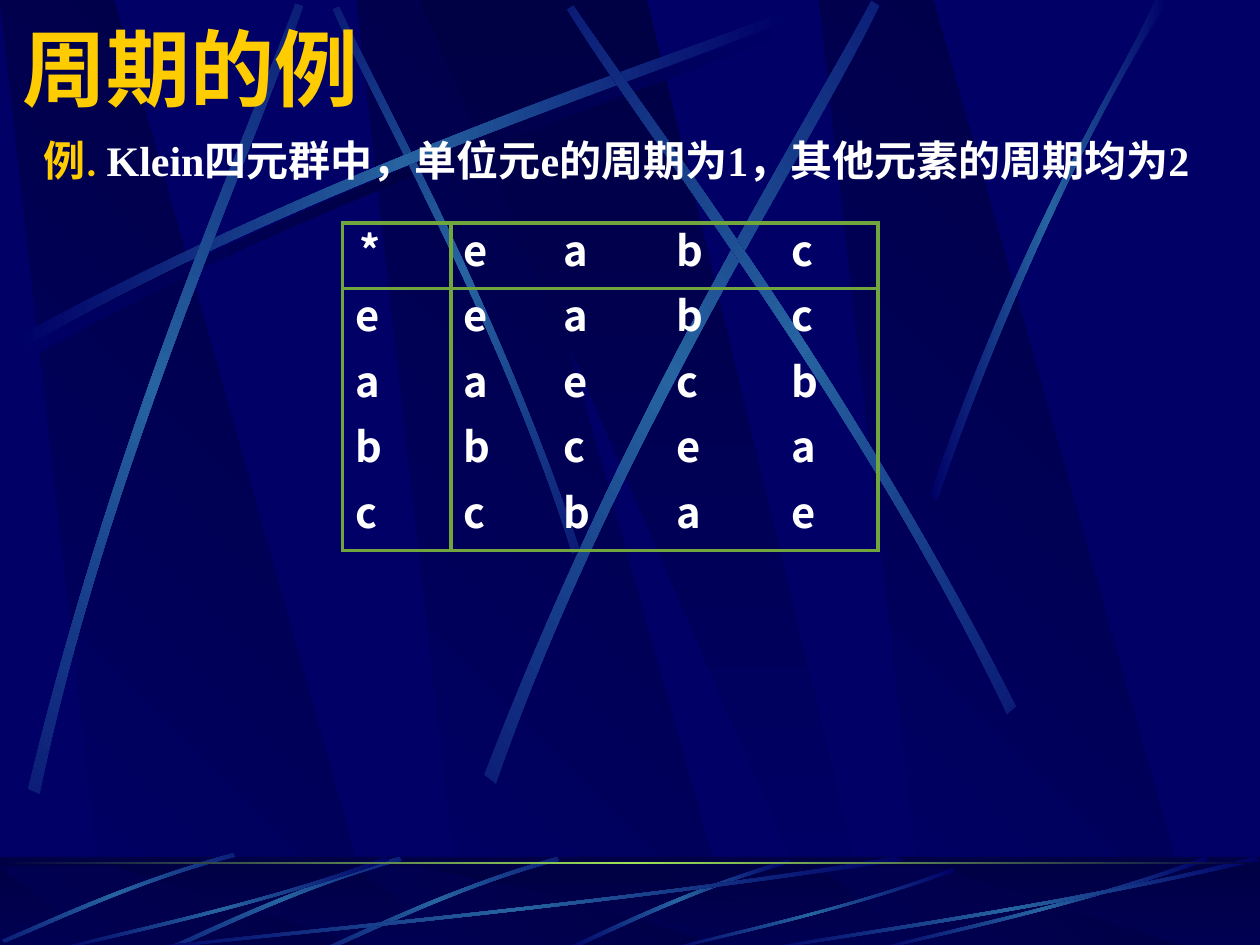
from dataclasses import dataclass
from math import cos, radians, sin

from pptx import Presentation
from pptx.dml.color import RGBColor
from pptx.enum.shapes import MSO_SHAPE
from pptx.enum.text import MSO_ANCHOR, MSO_AUTO_SIZE, PP_ALIGN
from pptx.oxml import parse_xml
from pptx.oxml.ns import nsdecls, qn
from pptx.util import Inches, Pt

RECTANGLE = MSO_SHAPE.RECTANGLE
MIDDLE, TOP = MSO_ANCHOR.MIDDLE, MSO_ANCHOR.TOP
NO_AUTOFIT = MSO_AUTO_SIZE.NONE
LEFT = PP_ALIGN.LEFT
WIDTH, HEIGHT = 10, 7.5
INCH_BOX = (0, 0, 1, 1)
UNITS_PER_INCH = 1000
NO_STYLE_NO_GRID = "{2D5ABB26-0587-4C30-8999-92F81FD0307C}"


@dataclass(frozen=True)
class Theme:
    navy: str = "000066"
    dark: str = "000044"
    beam: str = "2663A0"
    glow: str = "9CE157"
    grid: str = "71A53E"
    gold: str = "FFCC00"
    white: str = "FFFFFF"
    serif: str = "Times New Roman"
    sans: str = "Calibri"
    chinese: str = "Noto Sans CJK SC"
    title_size: float = 48
    body_size: float = 24
    table_size: float = 23.8
    grid_width: float = 2.25


THEME = Theme()
BEAM_COLORS = (THEME.navy, THEME.beam, THEME.navy)

# Background outlines, in shares of the box they fill
PANEL = [(0.28, 1), (1, 1), (0.3, 0), (0, 0)]
WEDGE = [(0, 0), (0.9, 1), (1, 1), (0.5, 0)]

# Beams: two cubic edges each. The long ones are in inches.
RISING = [[(0.14, 2.67), (2.78, 1.25), (5.18, 0.51), (6.2, 0.1)],
          [(6.23, 0.16), (5.22, 0.61), (2.48, 1.43), (0.17, 2.77)]]
LONG_BEAMS = [
    (45, [[(4.6, 4.36), (3.91, 2.34), (3.02, 0.77), (2.69, 0.05)],
          [(2.64, 0.07), (2.95, 0.79), (3.98, 2.58), (4.54, 4.39)]]),
    (0, RISING),
    (311.7, [[(0.23, 6.25), (0.93, 3.34), (1.97, 1.05), (2.35, 0.02)],
             [(2.41, 0.04), (2.07, 1.08), (0.86, 3.68), (0.32, 6.29)]]),
    (321.6, [[(3.85, 6.14), (4.98, 3.2), (6.38, 1.02), (6.92, 0)],
             [(6.98, 0.04), (6.49, 1.08), (4.86, 3.55), (3.94, 6.21)]]),
    (34.8, [[(8.06, 5.6), (6.7, 2.93), (5.16, 0.95), (4.55, 0.04)],
            [(4.5, 0.07), (5.07, 1.01), (6.85, 3.25), (7.99, 5.66)]]),
    (0, [[(7.38, 3.93), (8.14, 1.73), (8.88, 0.66), (9.17, 0)],
         [(9.27, 0), (8.36, 1.45), (7.69, 3.22), (7.44, 3.97)]]),
]

# The floor beams are in shares of their boxes
STEEP = [[(0.99, 0), (0.53, 0.33), (0.16, 0.8), (0, 0.97)],
         [(0.01, 1), (0.17, 0.84), (0.58, 0.31), (1, 0.04)]]
FLAT = [[(1, 0.04), (0.57, 0.57), (0.17, 0.85), (0.01, 1)],
        [(0, 0.99), (0.16, 0.81), (0.62, 0.51), (0.99, 0)]]
FLOOR_BEAMS = [
    (0, STEEP, (4.48, 6.82, 1.8, 0.73)),
    (314.9, STEEP, (2.56, 6.8, 1.88, 0.75)),
    (314.9, STEEP, (1.31, 6.8, 1.88, 0.75)),
    (314.9, STEEP, (0.02, 6.77, 1.85, 0.71)),
    (0, FLAT, (1, 6.8, 6.17, 0.75)),
    (0, FLAT, (0.42, 6.8, 2.67, 0.75)),
    (0, FLAT, (5.27, 6.89, 2.31, 0.66)),
    (0, FLAT, (6.92, 6.8, 2.67, 0.75)),
    (0, FLAT, (6, 6.8, 4, 0.75)),
]


def paint(shape, *colors, angle=0, alpha=100):
    """Fill a shape with evenly spaced gradient stops and no line."""
    shape.shadow.inherit = False
    shape.line.fill.background()
    shape.fill.gradient()
    last = len(colors) - 1
    stops = "".join(
        f'<a:gs pos="{100000 * index // last}"><a:srgbClr val="{color}">'
        f'<a:alpha val="{alpha * 1000}"/></a:srgbClr></a:gs>'
        for index, color in enumerate(colors))
    properties = shape._element.spPr
    properties.replace(properties.find(qn("a:gradFill")), parse_xml(
        f'<a:gradFill {nsdecls("a")} rotWithShape="1"><a:gsLst>{stops}</a:gsLst>'
        f'<a:lin ang="{angle * 60000}" scaled="1"/></a:gradFill>'))


def add_band(slide, box, *colors, **fill):
    shape = slide.shapes.add_shape(RECTANGLE, *map(Inches, box))
    paint(shape, *colors, **fill)


def add_outline(slide, points, box, *colors, rotation=0, angle=0):
    """Draw a closed outline whose gradient turns with its rotation."""
    left, top, width, height = box
    points = [(left + x * width, top + y * height) for x, y in points]
    center_x, center_y = ((min(axis) + max(axis)) / 2 for axis in zip(*points))
    cosine, sine = cos(radians(rotation)), sin(radians(rotation))
    points = [((center_x + (x - center_x) * cosine + (y - center_y) * sine) * UNITS_PER_INCH,
               (center_y + (y - center_y) * cosine - (x - center_x) * sine) * UNITS_PER_INCH)
              for x, y in points]
    builder = slide.shapes.build_freeform(*points[0], scale=Inches(1) / UNITS_PER_INCH)
    builder.add_line_segments(points[1:], close=True)
    shape = builder.convert_to_shape()
    shape.rotation = rotation
    paint(shape, *colors, angle=angle)
    return shape


def add_beam(slide, edges, box, *colors, rotation=0):
    """Outline the control points, then turn each edge into a cubic curve."""
    shape = add_outline(slide, edges[0] + edges[1], box, *colors, rotation=rotation)
    lines = list(shape._element.iter(qn("a:lnTo")))
    for edge_lines in (lines[:3], lines[4:7]):
        curve = parse_xml(f'<a:cubicBezTo {nsdecls("a")}/>')
        edge_lines[0].addprevious(curve)
        for line in edge_lines:
            curve.append(line[0])
            line.getparent().remove(line)


def add_panels(slide, top, height):
    for left in (2.83, 0, 6.5):
        add_outline(slide, PANEL, (left, top, 3.02, height),
                    THEME.navy, THEME.dark, angle=315)
    add_outline(slide, WEDGE, (3.33, top, 3.61, height),
                THEME.dark, THEME.navy, angle=90)


def add_wall(slide):
    add_panels(slide, 0, HEIGHT)
    add_beam(slide, RISING, (0.06, 0.08, 1, 1), THEME.navy, THEME.dark, THEME.navy)
    for rotation, edges in LONG_BEAMS:
        add_beam(slide, edges, INCH_BOX, *BEAM_COLORS, rotation=rotation)


def add_floor(slide, top, height):
    add_band(slide, (0, top, WIDTH, height), THEME.dark, THEME.navy, angle=90)
    add_panels(slide, top + 0.08, height - 0.08)
    add_band(slide, (0, top, WIDTH, height), THEME.dark, THEME.dark, alpha=50)
    for rotation, edges, box in FLOOR_BEAMS:
        add_beam(slide, edges, box, *BEAM_COLORS, rotation=rotation)
    add_band(slide, (0, top + 0.04, WIDTH, 0.02), THEME.dark, THEME.glow, THEME.dark)


def add_run(paragraph, text, *, size, font, color=THEME.white):
    run = paragraph.add_run()
    run.text = text
    run.font.size, run.font.name, run.font.bold = Pt(size), font, True
    run.font.color.rgb = RGBColor.from_string(color)
    run.font._element.find(qn("a:latin")).addnext(
        parse_xml(f'<a:ea {nsdecls("a")} typeface="{THEME.chinese}"/>'))


def add_title(slide, text, box):
    title = slide.shapes.title
    title.left, title.top, title.width, title.height = map(Inches, box)
    frame = title.text_frame
    frame.vertical_anchor, frame.auto_size = MIDDLE, NO_AUTOFIT
    frame.paragraphs[0].alignment = LEFT
    add_run(frame.paragraphs[0], text, size=THEME.title_size,
            font=THEME.serif, color=THEME.gold)
    slide.shapes._spTree.append(title._element)  # in front of the background


def add_example(slide, label, text, box):
    frame = slide.shapes.add_textbox(*map(Inches, box)).text_frame
    frame.word_wrap = True
    paragraph = frame.paragraphs[0]
    paragraph.line_spacing = 1.1
    add_run(paragraph, label, size=THEME.body_size, font=THEME.sans, color=THEME.gold)
    add_run(paragraph, text, size=THEME.body_size, font=THEME.serif)


def set_borders(cell, sides):
    """Draw the sides marked true and clear the others."""
    solid = f'<a:solidFill><a:srgbClr val="{THEME.grid}"/></a:solidFill>'
    for position, (side, shown) in enumerate(sides.items()):
        cell._tc.tcPr.insert(position, parse_xml(
            f'<a:{side} {nsdecls("a")} w="{Pt(THEME.grid_width)}">'
            f'{solid if shown else "<a:noFill/>"}</a:{side}>'))


def add_group_table(slide, elements, left, top, column_widths, row_height):
    """Klein group: the product of elements i and j is element i xor j."""
    products = [[elements[i ^ j] for j in range(4)] for i in range(4)]
    rows = [["*", *elements]] + [[e, *row] for e, row in zip(elements, products)]
    graphic = slide.shapes.add_table(
        len(rows), len(column_widths), Inches(left), Inches(top),
        Inches(sum(column_widths)), Inches(row_height * len(rows)))
    table = graphic.table
    table.first_row = table.horz_banding = False
    table._tbl.tblPr.find(qn("a:tableStyleId")).text = NO_STYLE_NO_GRID
    for column, width in zip(table.columns, column_widths):
        column.width = Inches(width)
    last = len(rows) - 1
    for i, row in enumerate(rows):
        table.rows[i].height = Inches(row_height)
        for j, text in enumerate(row):
            cell = table.cell(i, j)
            cell.vertical_anchor = TOP
            cell.margin_left = Inches(0.13 if text == "*" else 0.1)
            cell.margin_top = cell.margin_bottom = 0
            cell.fill.background()
            paragraph = cell.text_frame.paragraphs[0]
            paragraph.line_spacing = 0.9
            add_run(paragraph, text, size=THEME.table_size, font=THEME.chinese)
            set_borders(cell, {"lnL": j <= 1, "lnR": j in (0, last),
                               "lnT": i <= 1, "lnB": i in (0, last)})


def main():
    presentation = Presentation()
    presentation.slide_width, presentation.slide_height = Inches(WIDTH), Inches(HEIGHT)
    slide = presentation.slides.add_slide(presentation.slide_layouts[5])
    slide.background.fill.solid()
    slide.background.fill.fore_color.rgb = RGBColor.from_string(THEME.navy)
    add_wall(slide)
    add_floor(slide, 6.8, 0.75)
    add_example(slide, "例. ", "Klein四元群中，单位元e的周期为1，其他元素的周期均为2",
                (0.25, 0.98, 9.33, 0.98))
    add_group_table(slide, "eabc", 2.72, 1.77, (0.86, 0.79, 0.9, 0.91, 0.79), 0.52)
    add_title(slide, "周期的例", (0.08, 0.08, 8.5, 0.9))
    presentation.save("out.pptx")


if __name__ == "__main__":
    main()
